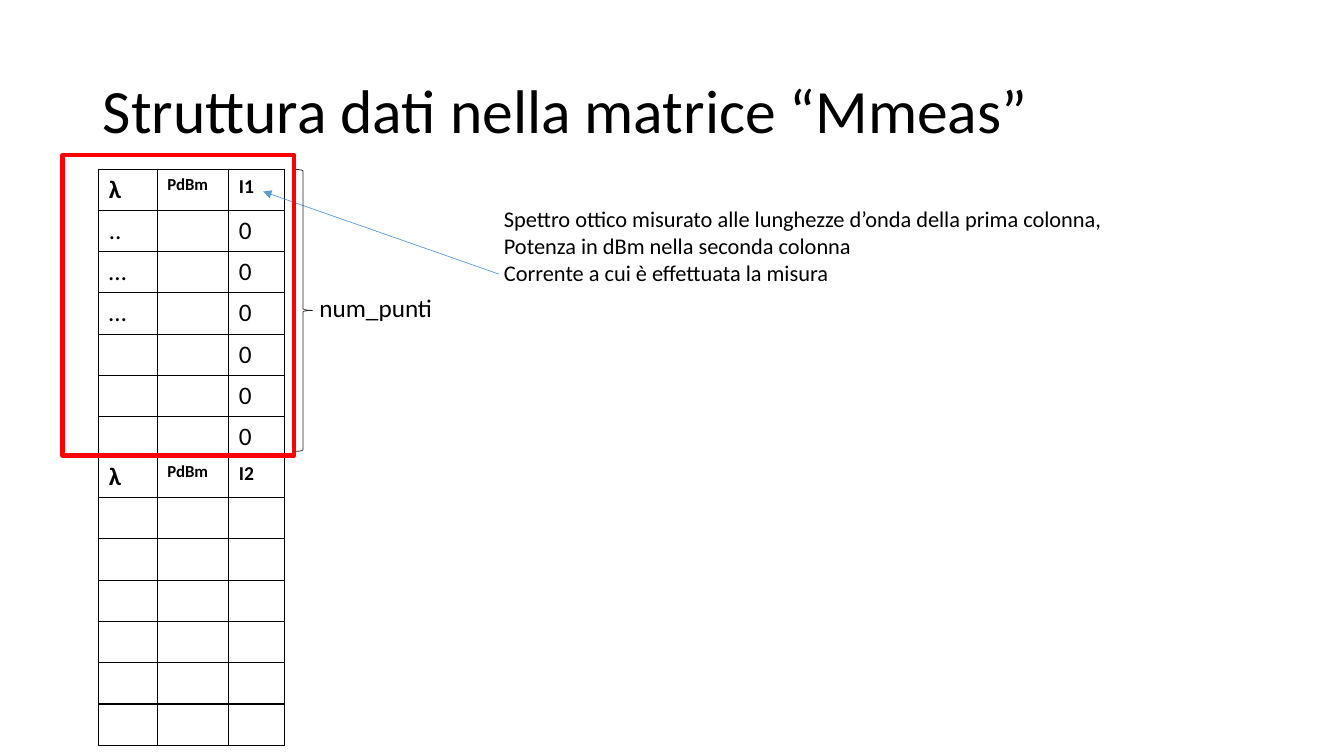
from lxml import etree
from pptx import Presentation
from pptx.dml.color import RGBColor
from pptx.enum import shapes, text
from pptx.oxml import ns
from pptx.util import Inches, Pt

BLACK = RGBColor(0, 0, 0)
WHITE = RGBColor(255, 255, 255)
RED = RGBColor(255, 0, 0)
BLUE = RGBColor(0x5B, 0x9B, 0xD5)
GRAY = RGBColor(0x26, 0x26, 0x26)

# Content
TITLE = "Struttura dati nella matrice “Mmeas”"
BLOCKS = [
    (1.68, [("λ", "PdBm", "I1"), ("..", "", "0")]
     + [("…", "", "0")] * 2 + [("", "", "0")] * 3),
    (4.53, [("λ", "PdBm", "I2")] + [("", "", "")] * 6),
]
COLUMN_WIDTHS = [0.58, 0.71, 0.55]
HEADER_SIZES = [18, 12, 14]
ROW_HEIGHTS = [0.4] + [0.41] * 6
NOTES = [
    ((3.07, 2.85, 7.47, 0.4), 18, ["num_punti"]),
    ((4.9, 1.99, 6.67, 0.91), 16, [
        "Spettro ottico misurato alle lunghezze d’onda della prima colonna, ",
        "Potenza in dBm nella seconda colonna",
        "Corrente a cui è effettuata la misura "]),
]
OUTLINES = [
    (shapes.MSO_SHAPE.RIGHT_BRACE, (2.91, 1.68, 0.19, 2.8), GRAY, 0.5),
    (shapes.MSO_SHAPE.RECTANGLE, (0.62, 1.54, 2.3, 2.98), RED, 3),
]


def inches(values):
    return [Inches(value) for value in values]


def write(paragraph, words, size, bold=False):
    run = paragraph.add_run()
    run.text = words
    run.font.color.rgb = BLACK
    for name, value in {"name": "Calibri", "size": Pt(size), "bold": bold}.items():
        setattr(run.font, name, value)


def add_borders(cell):
    properties = cell._tc.get_or_add_tcPr()
    for index, side in enumerate(("lnL", "lnR", "lnT", "lnB")):
        border = etree.Element(ns.qn(f"a:{side}"), w=str(Pt(1)))
        fill = etree.SubElement(border, ns.qn("a:solidFill"))
        etree.SubElement(fill, ns.qn("a:srgbClr"), val=str(BLACK))
        properties.insert(index, border)


def add_block(top, rows):
    frame = slide.shapes.add_table(
        len(rows), len(COLUMN_WIDTHS),
        *inches((0.98, top, sum(COLUMN_WIDTHS), sum(ROW_HEIGHTS))))
    table = frame.table
    table.first_row = table.horz_banding = False
    for column, width in zip(table.columns, COLUMN_WIDTHS):
        column.width = Inches(width)
    for row_index, (row, height) in enumerate(zip(rows, ROW_HEIGHTS)):
        table.rows[row_index].height = Inches(height)
        header = row_index == 0
        for column_index, words in enumerate(row):
            cell = table.cell(row_index, column_index)
            cell.fill.solid()
            cell.fill.fore_color.rgb = WHITE
            add_borders(cell)
            if words:
                size = HEADER_SIZES[column_index] if header else 18
                write(cell.text_frame.paragraphs[0], words, size, header)


presentation = Presentation()
presentation.slide_width, presentation.slide_height = inches((13.33, 7.5))
slide = presentation.slides.add_slide(presentation.slide_layouts[5])

# Title
title = slide.shapes.title
title.left, title.top, title.width, title.height = inches((0.92, 0.4, 11.5, 1.45))
title.text_frame.vertical_anchor = text.MSO_ANCHOR.MIDDLE
heading = title.text_frame.paragraphs[0]
heading.alignment = text.PP_ALIGN.LEFT
heading.line_spacing = 0.9
write(heading, TITLE, 44)

# Measurement blocks
for top, rows in BLOCKS:
    add_block(top, rows)

# Arrow from the note to the current cell
arrow = slide.shapes.add_connector(
    shapes.MSO_CONNECTOR.STRAIGHT, *inches((4.95, 2.72, 2.61, 1.9)))
arrow.line.color.rgb = BLUE
arrow.line.width = Pt(0.5)
etree.SubElement(arrow.line._get_or_add_ln(), ns.qn("a:tailEnd"), type="triangle")
etree.SubElement(arrow._element.spPr, ns.qn("a:effectLst"))

# Brace and frame around the first block
for kind, place, color, width in OUTLINES:
    shape = slide.shapes.add_shape(kind, *inches(place))
    shape.shadow.inherit = False
    shape.fill.background()
    shape.line.color.rgb = color
    shape.line.width = Pt(width)

# Notes
for place, size, lines in NOTES:
    frame = slide.shapes.add_textbox(*inches(place)).text_frame
    frame.word_wrap = True
    frame.auto_size = text.MSO_AUTO_SIZE.SHAPE_TO_FIT_TEXT
    for index, line in enumerate(lines):
        paragraph = frame.add_paragraph() if index else frame.paragraphs[0]
        write(paragraph, line, size)

presentation.save("out.pptx")
